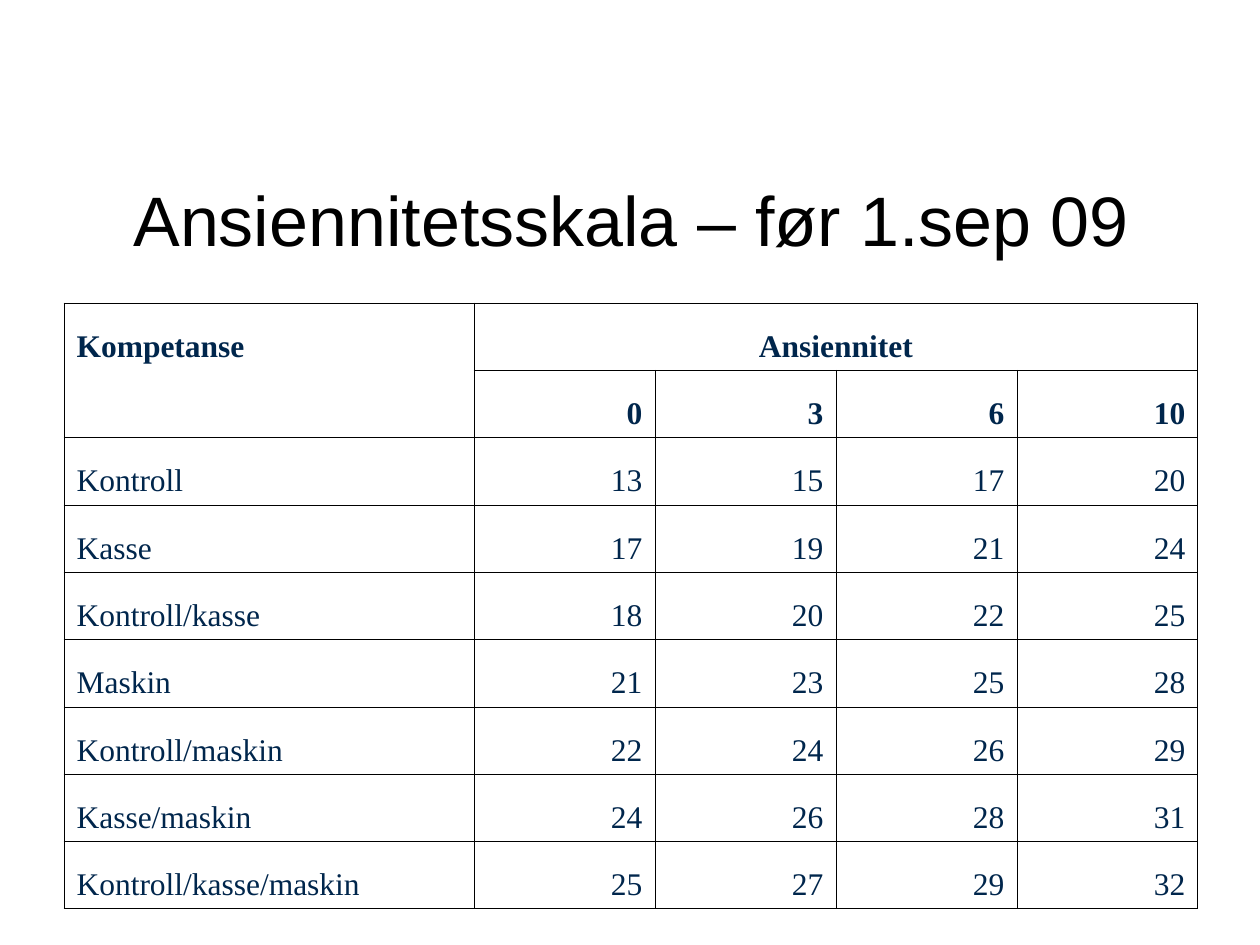
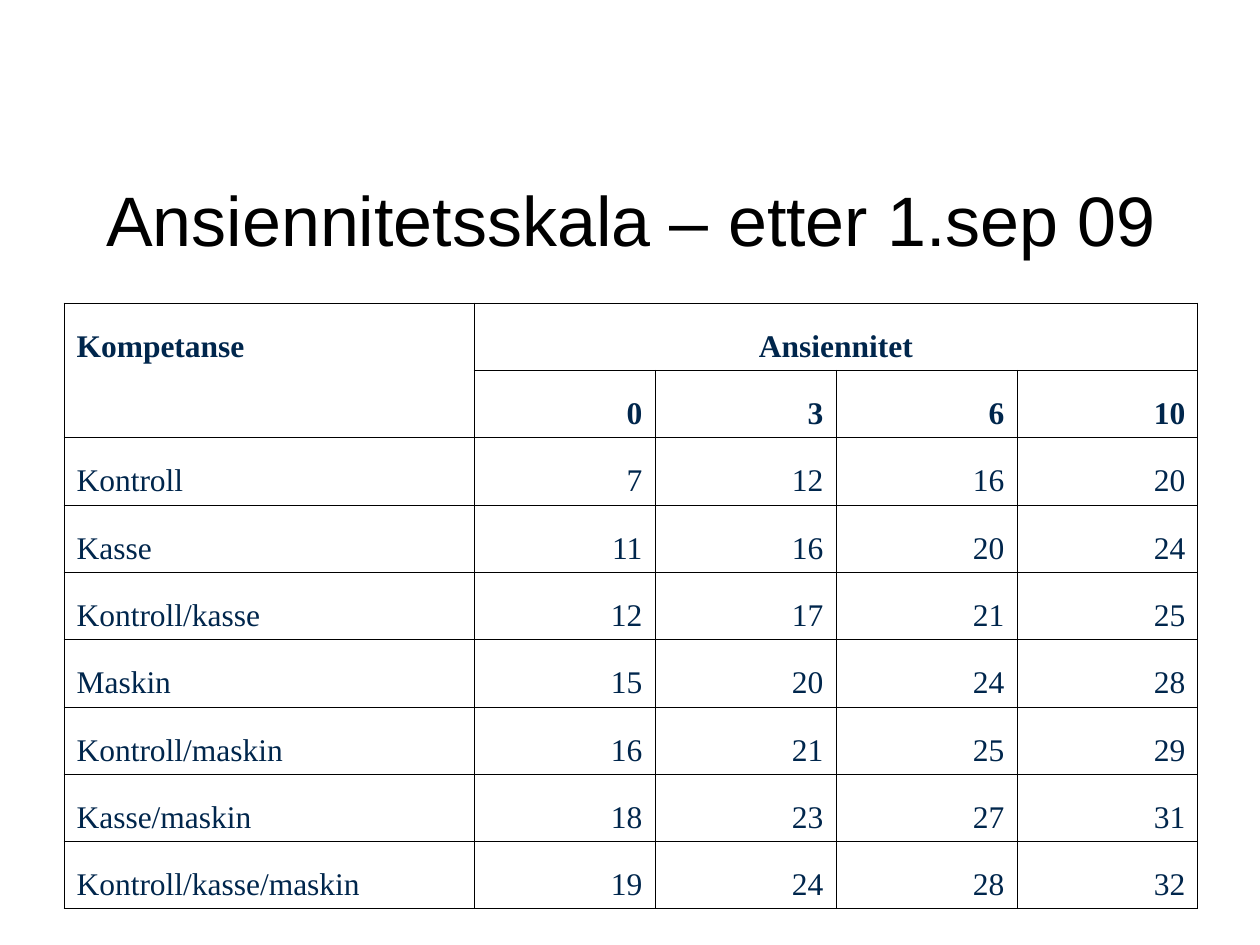
import pptx
import pptx.dml.color
import pptx.enum.text
import pptx.oxml.ns
import pptx.util
from lxml import etree

EMU_PER_PX = 914400 / 126
COLORS = {"title": "000000", "border": "000000", "table_text": "00264C"}
BORDER_POINTS = 0.45
ALIGN = pptx.enum.text.PP_ALIGN
ANCHOR = pptx.enum.text.MSO_ANCHOR

LEFT, WIDTH = 64, 1134
TITLE_TOP, TITLE_HEIGHT = 155, 127
TABLE_TOP, TABLE_HEIGHT = 303, 606
LABEL_WIDTH = 410

SENIORITY_YEARS = [0, 3, 6, 10]
COMPETENCES = [
    "Kontroll", "Kasse", "Kontroll/kasse", "Maskin",
    "Kontroll/maskin", "Kasse/maskin", "Kontroll/kasse/maskin",
]
SCALES = {
    "Ansiennitetsskala – før 1.sep 09": [
        [13, 15, 17, 20],
        [17, 19, 21, 24],
        [18, 20, 22, 25],
        [21, 23, 25, 28],
        [22, 24, 26, 29],
        [24, 26, 28, 31],
        [25, 27, 29, 32],
    ],
    "Ansiennitetsskala – etter 1.sep 09": [
        [7, 12, 16, 20],
        [11, 16, 20, 24],
        [12, 17, 21, 25],
        [15, 20, 24, 28],
        [16, 21, 25, 29],
        [18, 23, 27, 31],
        [19, 24, 28, 32],
    ],
}


def px(length):
    return pptx.util.Emu(round(length * EMU_PER_PX))


def format_paragraph(paragraph, font_name, size, color, align, bold=False):
    paragraph.alignment = align
    for run in paragraph.runs:
        run.font.name = font_name
        run.font.size = pptx.util.Pt(size)
        run.font.bold = bold
        run.font.color.rgb = pptx.dml.color.RGBColor.from_string(COLORS[color])


def add_title(slide, text):
    shape = slide.shapes.add_textbox(px(LEFT), px(TITLE_TOP), px(WIDTH), px(TITLE_HEIGHT))
    text_frame = shape.text_frame
    text_frame.word_wrap = True
    text_frame.vertical_anchor = ANCHOR.MIDDLE
    text_frame.text = text
    format_paragraph(text_frame.paragraphs[0], "Arial", 40, "title", ALIGN.CENTER)


def set_borders(cell, hidden_side=None):
    """Draw all four cell borders except the hidden one ("L", "R", "T" or "B")."""
    properties = cell._tc.get_or_add_tcPr()
    qn = pptx.oxml.ns.qn
    for side in "LRTB":
        line = etree.SubElement(properties, qn(f"a:ln{side}"),
                                w=str(pptx.util.Pt(BORDER_POINTS)))
        if side == hidden_side:
            etree.SubElement(line, qn("a:noFill"))
        else:
            fill = etree.SubElement(line, qn("a:solidFill"))
            etree.SubElement(fill, qn("a:srgbClr"), val=COLORS["border"])


def fill_cell(cell, text, align, bold, hidden_side=None):
    set_borders(cell, hidden_side)
    cell.fill.background()
    cell.vertical_anchor = ANCHOR.BOTTOM
    cell.text_frame.text = str(text)
    format_paragraph(cell.text_frame.paragraphs[0], "Times New Roman", 18,
                     "table_text", align, bold)


def add_scale_table(slide, values):
    rows = [["Kompetanse", "Ansiennitet", "", "", ""], ["", *SENIORITY_YEARS]]
    rows += [[name, *points] for name, points in zip(COMPETENCES, values)]
    column_count = len(rows[0])
    table = slide.shapes.add_table(len(rows), column_count, px(LEFT), px(TABLE_TOP),
                                   px(WIDTH), px(TABLE_HEIGHT)).table
    table.first_row = False
    table.horz_banding = False
    for row in table.rows:
        row.height = px(TABLE_HEIGHT / len(rows))
    for index, column in enumerate(table.columns):
        column.width = px((WIDTH - LABEL_WIDTH) / len(SENIORITY_YEARS) if index else LABEL_WIDTH)

    open_sides = {(0, 0): "B", (1, 0): "T"}
    for row_index, row in enumerate(rows):
        for column_index, text in enumerate(row):
            if column_index == 0:
                align = ALIGN.LEFT
            else:
                align = ALIGN.RIGHT if row_index else ALIGN.CENTER
            fill_cell(table.cell(row_index, column_index), text, align,
                      bold=row_index < 2,
                      hidden_side=open_sides.get((row_index, column_index)))
    table.cell(0, 1).merge(table.cell(0, column_count - 1))


def main():
    presentation = pptx.Presentation()
    presentation.slide_width = px(1260)
    presentation.slide_height = px(945)
    for title, values in SCALES.items():
        slide = presentation.slides.add_slide(presentation.slide_layouts[6])
        add_title(slide, title)
        add_scale_table(slide, values)
    presentation.save("out.pptx")


if __name__ == "__main__":
    main()
